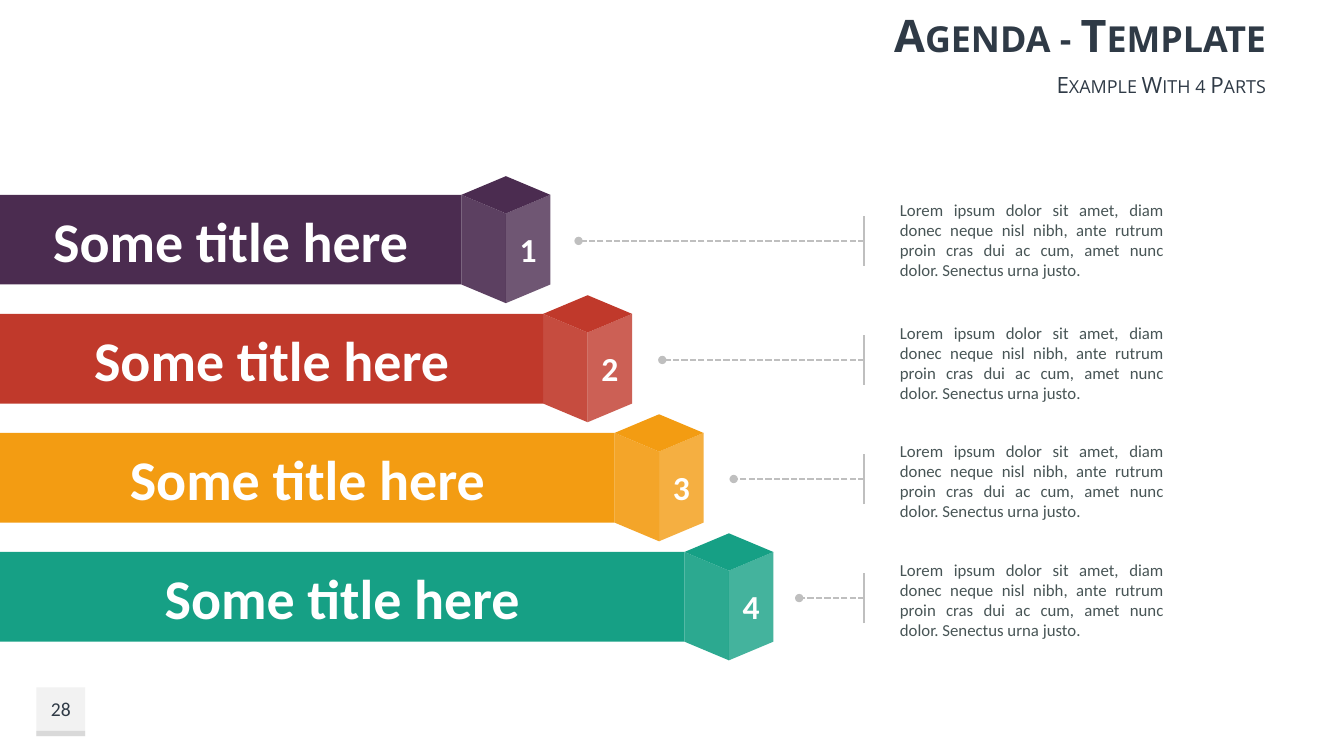
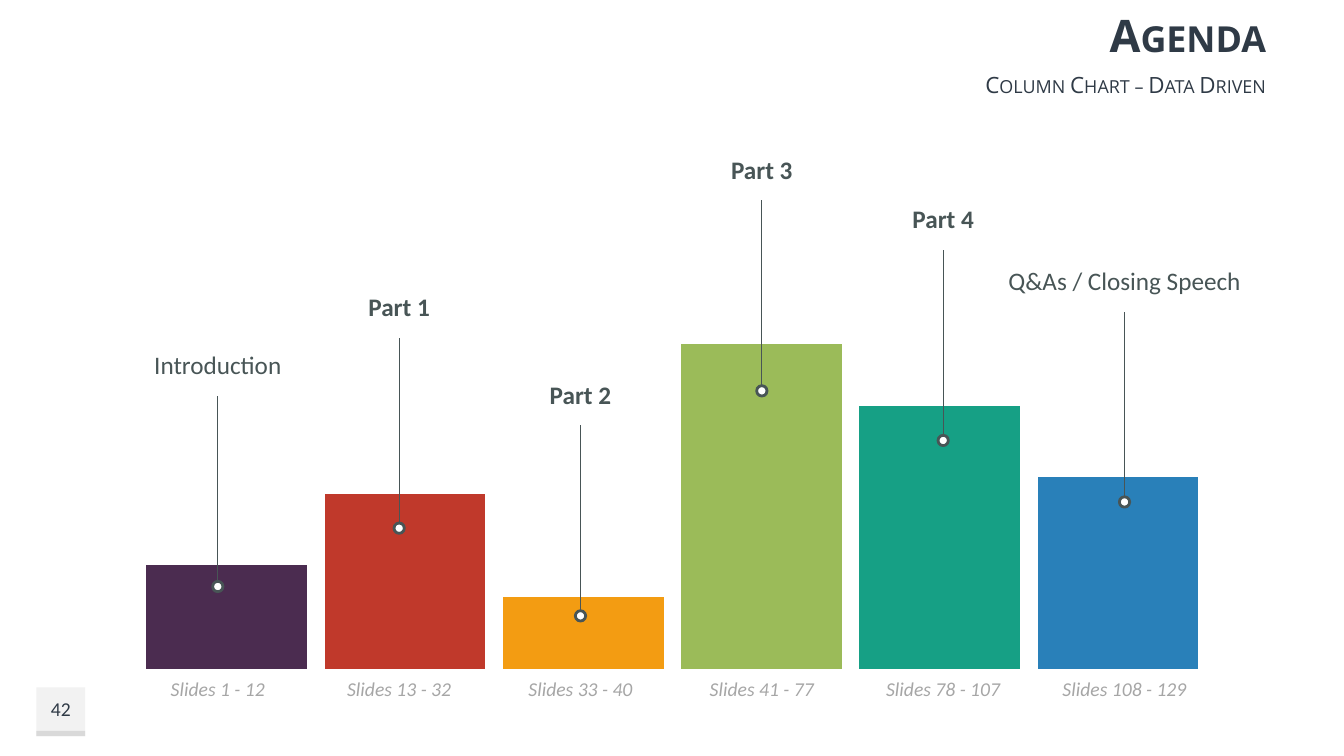
from pptx import Presentation
from pptx.chart.data import CategoryChartData
from pptx.dml.color import RGBColor
from pptx.enum.chart import XL_CHART_TYPE
from pptx.enum.dml import MSO_LINE
from pptx.enum.shapes import MSO_CONNECTOR, MSO_SHAPE
from pptx.enum.text import MSO_ANCHOR, MSO_AUTO_SIZE, PP_ALIGN
from pptx.oxml import parse_xml
from pptx.oxml.ns import nsdecls, qn
from pptx.util import Cm, Pt
from lxml.etree import SubElement

INK, SLATE, SILVER, WHITE = "2F3A46", "485556", "BFBFBF", "FFFFFF"
PLUM, RED, ORANGE, LIME, TEAL, BLUE = (
    "4B2C50", "C0392B", "F39C12", "9BBB59", "16A085", "2980B9")

TITLE = {"size": Pt(32), "name": "Open Sans", "bold": True}
SUBTITLE = {"size": Pt(16), "name": "Open Sans", "bold": False}
PAGE = {"size": Pt(14), "name": "Calibri"}
BAR = {"size": Pt(40), "name": "Calibri", "bold": True}
NUMBER = {"size": Pt(24), "name": "Calibri", "bold": True}
BODY = {"size": Pt(12), "name": "Calibri"}
HEADING = {"size": Pt(18), "name": "Calibri"}
PERIOD = {"size": Pt(14), "name": "Calibri", "italic": True}

TIGHT = Cm(0.13)
DESCRIPTION = ("Lorem ipsum dolor sit amet, diam donec neque nisl nibh, ante rutrum "
               "proin cras dui ac cum, amet nunc dolor. Senectus urna justo.")

BAR_TOP, BAR_PITCH, BAR_HEIGHT = 4.91, 3, 2.26
CUBE_HALF, ROOF_HALF = 1.12, 0.47
TICK_X, TICK_HALF = 21.78, 0.63
STEPS = [
    (PLUM, 11.63, 14.58, 5.03),
    (RED, 13.69, 16.69, 8.13),
    (ORANGE, 15.49, 18.49, 11.1),
    (TEAL, 17.25, 20.14, 14.1),
]

COLUMN_X, COLUMN_PITCH = 5.49, 4.57
PIN_LENGTH, PIN_DOT = 4.67, 0.26
PARTS = [
    ("Introduction", False, "Slides 1 - 12", 32, PLUM, 9.98),
    ("Part 1", True, "Slides 13 - 32", 54, RED, 8.51),
    ("Part 2", True, "Slides 33 - 40", 22, ORANGE, 10.72),
    ("Part 3", True, "Slides 41 - 77", 100, LIME, 5.05),
    ("Part 4", True, "Slides 78 - 107", 81, TEAL, 6.3),
    ("Q&As / Closing Speech", False, "Slides 108 - 129", 59, BLUE, 7.85),
]


def colour(code):
    return RGBColor.from_string(code)


def apply(target, values):
    for key, value in values.items():
        setattr(target, key, value)


def paint(shape, fill, alpha=100):
    shape.shadow.inherit = False
    shape.line.fill.background()
    shape.fill.solid()
    shape.fill.fore_color.rgb = colour(fill)
    if alpha < 100:
        tint = shape.fill._xPr.find(".//" + qn("a:srgbClr"))
        SubElement(tint, qn("a:alpha")).set("val", str(alpha * 1000))


def write(shape, text, font, ink, align=PP_ALIGN.CENTER, anchor=MSO_ANCHOR.MIDDLE,
          inset=None, wrap=True):
    frame = shape.text_frame
    apply(frame, {"word_wrap": wrap, "vertical_anchor": anchor,
                  "auto_size": MSO_AUTO_SIZE.NONE})
    if inset is not None:
        sides = ("left", "top", "right", "bottom")
        apply(frame, {f"margin_{side}": inset for side in sides})
    paragraph = frame.paragraphs[0]
    paragraph.alignment = align
    run = paragraph.add_run()
    run.text = text
    apply(run.font, font)
    run.font.color.rgb = colour(ink)
    return run


def add_text(slide, left, top, width, height, *content, **layout):
    box = slide.shapes.add_textbox(Cm(left), Cm(top), Cm(width), Cm(height))
    return write(box, *content, **layout)


def add_block(slide, kind, left, top, width, height, fill):
    block = slide.shapes.add_shape(kind, Cm(left), Cm(top), Cm(width), Cm(height))
    paint(block, fill)
    return block


def add_face(slide, points, fill, alpha=100):
    corners = [(Cm(x), Cm(y)) for x, y in points]
    builder = slide.shapes.build_freeform(*corners[0])
    builder.add_line_segments(corners[1:], close=True)
    face = builder.convert_to_shape()
    paint(face, fill, alpha)
    return face


def add_line(slide, start, end, ink, weight):
    line = slide.shapes.add_connector(
        MSO_CONNECTOR.STRAIGHT, *(Cm(value) for value in (*start, *end)))
    line.line.color.rgb = colour(ink)
    line.line.width = Pt(weight)
    SubElement(line._element.spPr, qn("a:effectLst"))
    return line


def add_slide(deck, title, subtitle, page):
    slide = deck.slides.add_slide(deck.slide_layouts[0])
    headers = [
        (slide.shapes.title, title, TITLE, 0, 1.73),
        (slide.placeholders[1], subtitle, SUBTITLE, 1.73, 0.79),
    ]
    for holder, text, font, top, height in headers:
        apply(holder, {"left": Cm(10.8), "top": Cm(top),
                       "width": Cm(21.36), "height": Cm(height)})
        run = write(holder, text, font, INK, PP_ALIGN.RIGHT)
        run._r.get_or_add_rPr().set("cap", "small")
    add_block(slide, MSO_SHAPE.RECTANGLE, 0.92, 17.32, 1.23, 1.23, "F2F2F2")
    add_block(slide, MSO_SHAPE.RECTANGLE, 0.92, 18.42, 1.23, 0.13, "D9D9D9")
    add_text(slide, 0.92, 17.32, 1.23, 1.09, page, PAGE, INK)
    return slide


def add_cube(slide, left, top, fill, number):
    middle, right = left + CUBE_HALF, left + 2 * CUBE_HALF
    bottom = top + BAR_HEIGHT
    front, base = top + ROOF_HALF, bottom + ROOF_HALF
    for edge, alpha in ((left, 90), (right, 80)):
        side = add_face(slide, [(middle, base), (edge, bottom), (edge, top),
                                (middle, front)], fill, alpha)
    write(side, number, NUMBER, WHITE, inset=TIGHT)
    add_face(slide, [(middle, front), (right, top), (middle, top - ROOF_HALF),
                     (left, top)], fill)


def add_step(slide, index, fill, width, dot_x, text_top):
    top = BAR_TOP + index * BAR_PITCH
    bar = add_block(slide, MSO_SHAPE.RECTANGLE, 0, top, width, BAR_HEIGHT, fill)
    write(bar, "Some title here", BAR, WHITE, inset=TIGHT)
    add_cube(slide, width, top, fill, str(index + 1))
    add_text(slide, 22.68, text_top, 6.65, 2.06, DESCRIPTION, BODY, SLATE,
             align=PP_ALIGN.JUSTIFY, anchor=MSO_ANCHOR.TOP, inset=0)
    level = top + 1.16
    add_line(slide, (TICK_X, level + TICK_HALF), (TICK_X, level - TICK_HALF), SILVER, 1.5)
    leader = add_line(slide, (TICK_X, level), (dot_x, level), SILVER, 1.5)
    leader.line.dash_style = MSO_LINE.SQUARE_DOT
    SubElement(leader.line._ln, qn("a:tailEnd")).set("type", "oval")


def add_column_chart(slide):
    data = CategoryChartData()
    data.categories = [str(number) for number in range(1, len(PARTS) + 1)]
    data.add_series("Series 1", [part[3] for part in PARTS])
    chart = slide.shapes.add_chart(XL_CHART_TYPE.COLUMN_CLUSTERED, Cm(2.9), Cm(7.85),
                                   Cm(28.09), Cm(9.19), data).chart
    apply(chart, {"has_legend": False, "has_title": False})
    apply(chart.font, {"size": Pt(10), "name": "Calibri"})
    chart.font.color.rgb = colour("95A5A6")
    apply(chart.category_axis, {"visible": False})
    apply(chart.value_axis, {"visible": False, "has_major_gridlines": False,
                             "minimum_scale": 0, "maximum_scale": 100})
    plot = chart.plots[0]
    apply(plot, {"gap_width": 11, "overlap": -27, "vary_by_categories": False})
    series = plot.series[0]
    series.format.fill.solid()
    series.format.fill.fore_color.rgb = colour(BLUE)
    for index, part in enumerate(PARTS):
        fill = series.points[index].format.fill
        fill.solid()
        fill.fore_color.rgb = colour(part[4])
    place_plot(chart, {"x": 0.02, "y": 0.09, "w": 0.96, "h": 0.89})


def place_plot(chart, fractions):
    area = chart._chartSpace.find(".//" + qn("c:plotArea"))
    for layout in area.findall(qn("c:layout")):
        area.remove(layout)
    modes = "".join(f'<c:{side}Mode val="edge"/>' for side in "xy")
    sizes = "".join(f'<c:{key} val="{value}"/>' for key, value in fractions.items())
    area.insert(0, parse_xml(
        f'<c:layout {nsdecls("c")}><c:manualLayout><c:layoutTarget val="inner"/>'
        f'{modes}{sizes}</c:manualLayout></c:layout>'))


def add_pin(slide, center, top, heading, bold, period):
    dot_top = top + PIN_LENGTH
    dot = add_block(slide, MSO_SHAPE.OVAL, center - PIN_DOT / 2, dot_top,
                    PIN_DOT, PIN_DOT, WHITE)
    dot.line.color.rgb = colour(SLATE)
    dot.line.width = Pt(2)
    stem = add_line(slide, (center, dot_top), (center, top), SLATE, 0.75)
    stem.begin_connect(dot, 0)
    add_text(slide, center - 3.23, top - 1.3, 6.46, 1.02, heading,
             {**HEADING, "bold": bold}, SLATE, anchor=MSO_ANCHOR.BOTTOM, wrap=False)
    add_text(slide, center - 2.25, 16.94, 4.5, 0.86, period, PERIOD, "A6A6A6",
             anchor=MSO_ANCHOR.TOP, wrap=False)


def main():
    deck = Presentation()
    apply(deck, {"slide_width": Cm(33.87), "slide_height": Cm(19.05)})

    steps = add_slide(deck, "Agenda - Template", "Example With 4 Parts", "28")
    for index, step in enumerate(STEPS):
        add_step(steps, index, *step)

    columns = add_slide(deck, "Agenda", "Column Chart – Data Driven", "42")
    add_column_chart(columns)
    for index, (heading, bold, period, _, _, top) in enumerate(PARTS):
        add_pin(columns, COLUMN_X + index * COLUMN_PITCH, top, heading, bold, period)

    deck.save("out.pptx")


if __name__ == "__main__":
    main()
